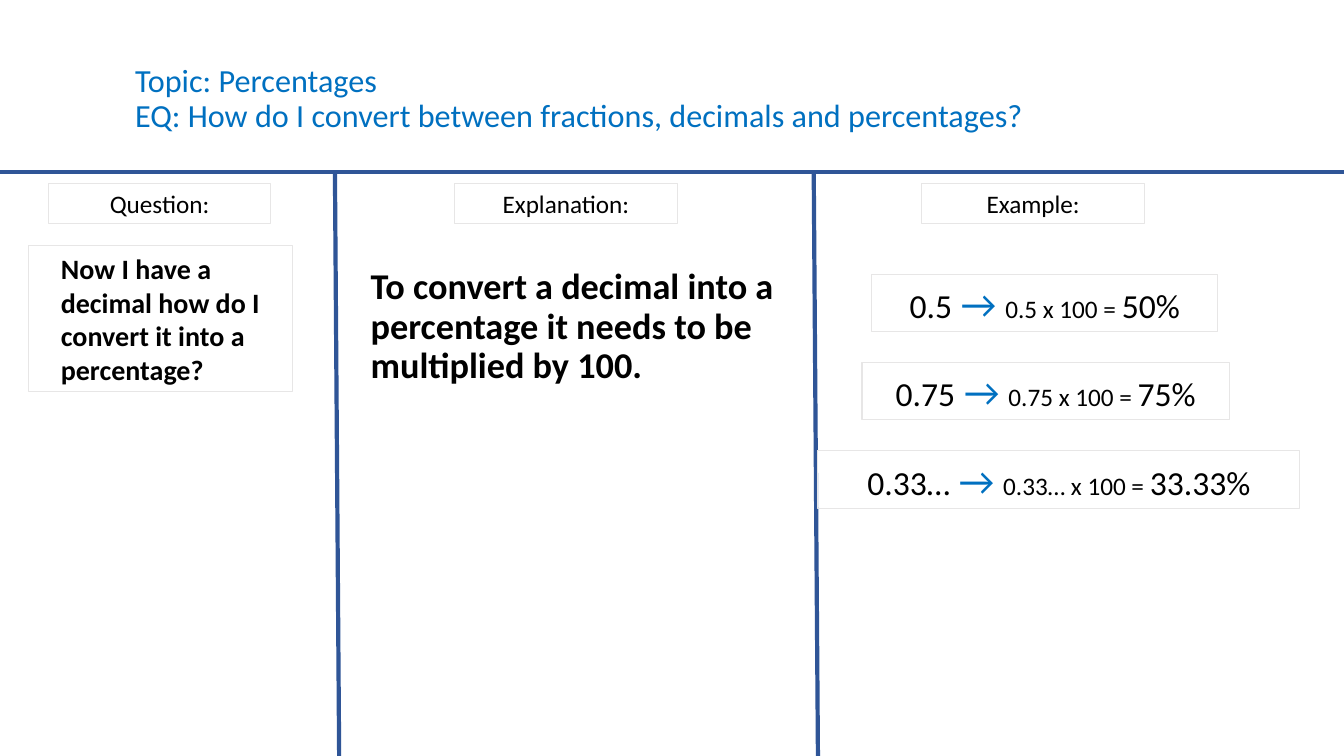
from dataclasses import dataclass

from lxml import etree
from pptx import Presentation
from pptx.dml.color import RGBColor
from pptx.enum.shapes import MSO_CONNECTOR
from pptx.enum.text import MSO_ANCHOR, MSO_AUTO_SIZE, PP_ALIGN
from pptx.oxml.ns import qn
from pptx.util import Pt

PX = 9525  # EMU in one px, 96 px to the inch
SLIDE_W, SLIDE_H = 1280, 720


@dataclass(frozen=True)
class Theme:
    font: str = "Calibri"
    ink: RGBColor = RGBColor(0x00, 0x00, 0x00)
    accent: RGBColor = RGBColor(0x00, 0x70, 0xC0)
    rule: RGBColor = RGBColor(0x2F, 0x55, 0x97)
    border: RGBColor = RGBColor(0xE7, 0xE6, 0xE6)
    title: float = 23
    explanation: float = 25.9
    question: float = 20
    label: float = 18
    value: float = 24
    arrow: float = 28
    rule_width: float = 3
    border_width: float = 0.75


THEME = Theme()


def style(run, size, color=THEME.ink, bold=False):
    font = run.font
    font.name, font.size, font.bold = THEME.font, Pt(size), bold
    font.color.rgb = color


def add_rule(slide, x1, y1, x2, y2):
    rule = slide.shapes.add_connector(
        MSO_CONNECTOR.STRAIGHT, *(v * PX for v in (x1, y1, x2, y2)))
    rule.line.color.rgb = THEME.rule
    rule.line.width = Pt(THEME.rule_width)
    etree.SubElement(rule._element.spPr, qn("a:effectLst"))


def add_text(slide, box, pieces, align=PP_ALIGN.CENTER, anchor=MSO_ANCHOR.MIDDLE,
             bordered=True, insets=(10, 10)):
    """Place one paragraph made of (text, size, color, bold) pieces."""
    area = slide.shapes.add_textbox(*(v * PX for v in box))
    if bordered:
        area.line.color.rgb = THEME.border
        area.line.width = Pt(THEME.border_width)
    frame = area.text_frame
    frame.word_wrap = True
    frame.vertical_anchor = anchor
    frame.margin_left, frame.margin_right = (v * PX for v in insets)
    paragraph = frame.paragraphs[0]
    paragraph.alignment = align
    for text, *look in pieces:
        run = paragraph.add_run()
        run.text = text
        style(run, *look)
    return paragraph


def fill_title(slide, left, top, width, height):
    title = slide.shapes.title
    title.left, title.top, title.width, title.height = (
        v * PX for v in (left, top, width, height))
    frame = title.text_frame
    frame.text = ("Topic: Percentages\v"
                  "EQ: How do I convert between fractions, decimals and percentages?")
    frame.auto_size = MSO_AUTO_SIZE.NONE
    frame.vertical_anchor = MSO_ANCHOR.MIDDLE
    paragraph = frame.paragraphs[0]
    paragraph.alignment = PP_ALIGN.LEFT
    paragraph.line_spacing = 0.9
    for run in paragraph.runs:
        style(run, THEME.title, THEME.accent)


def add_column_rules(slide, top, lefts, lean=4):
    add_rule(slide, 0, top, SLIDE_W, top)
    for left in lefts:
        add_rule(slide, left, top + 1, left + lean, SLIDE_H)


def add_heading(slide, left, top, text):
    add_text(slide, (left, top, 212, 38), [(text, THEME.label)])


def add_question(slide, left, top):
    add_heading(slide, left + 19, top, "Question:")
    add_text(slide, (left, top + 59, 252, 139),
             [("Now I have a decimal how do I convert it into a percentage?",
               THEME.question, THEME.ink, True)],
             align=PP_ALIGN.LEFT, insets=(31, 20))


def add_explanation(slide, left, top):
    add_heading(slide, left + 94, top, "Explanation:")
    paragraph = add_text(
        slide, (left, top + 76, 410, 150),
        [("To convert a decimal into a percentage it needs to be multiplied by 100.",
          THEME.explanation, THEME.ink, True)],
        align=PP_ALIGN.LEFT, anchor=MSO_ANCHOR.TOP, bordered=False, insets=(14, 5))
    paragraph.line_spacing = 0.9


def add_examples(slide, left, top):
    add_heading(slide, left + 99, top, "Example:")
    examples = [("0.5", "50%", 51, 330), ("0.75", "75%", 42, 350),
                ("0.33…", "33.33%", 0, 459)]
    for row, (decimal, percentage, indent, width) in enumerate(examples):
        add_text(slide, (left + indent, top + 86 + 84 * row, width, 55), [
            (decimal, THEME.value),
            (" → ", THEME.arrow, THEME.accent),
            (f"{decimal} x 100 = ", THEME.label),
            (percentage, THEME.value)])


def main():
    deck = Presentation()
    deck.slide_width, deck.slide_height = SLIDE_W * PX, SLIDE_H * PX
    slide = deck.slides.add_slide(deck.slide_layouts[5])
    fill_title(slide, 119, 36, 1042, 117)
    add_column_rules(slide, 164, (319, 775))
    columns_top = 175
    add_question(slide, 27, columns_top)
    add_explanation(slide, 339, columns_top)
    add_examples(slide, 779, columns_top)
    deck.save("out.pptx")


if __name__ == "__main__":
    main()
